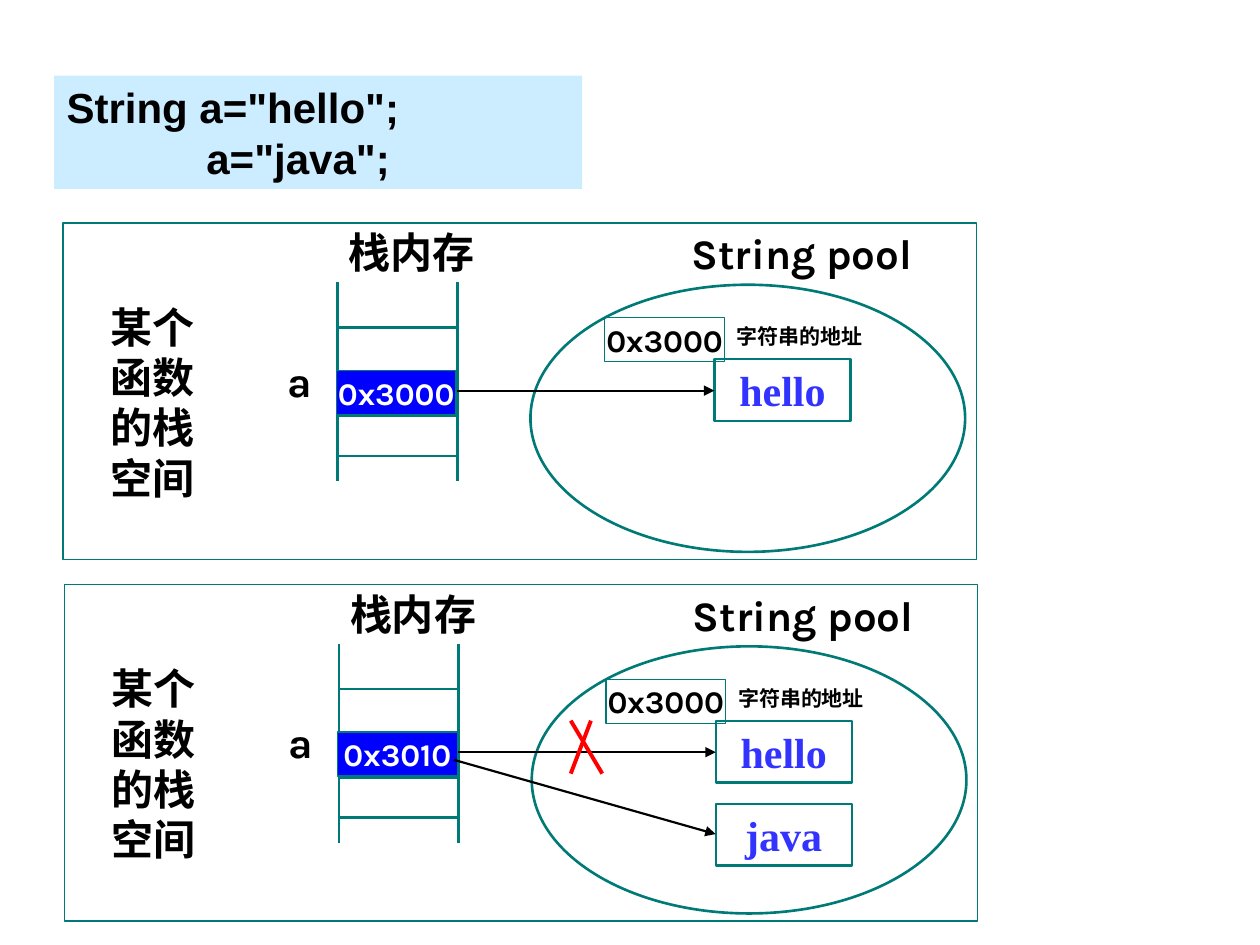
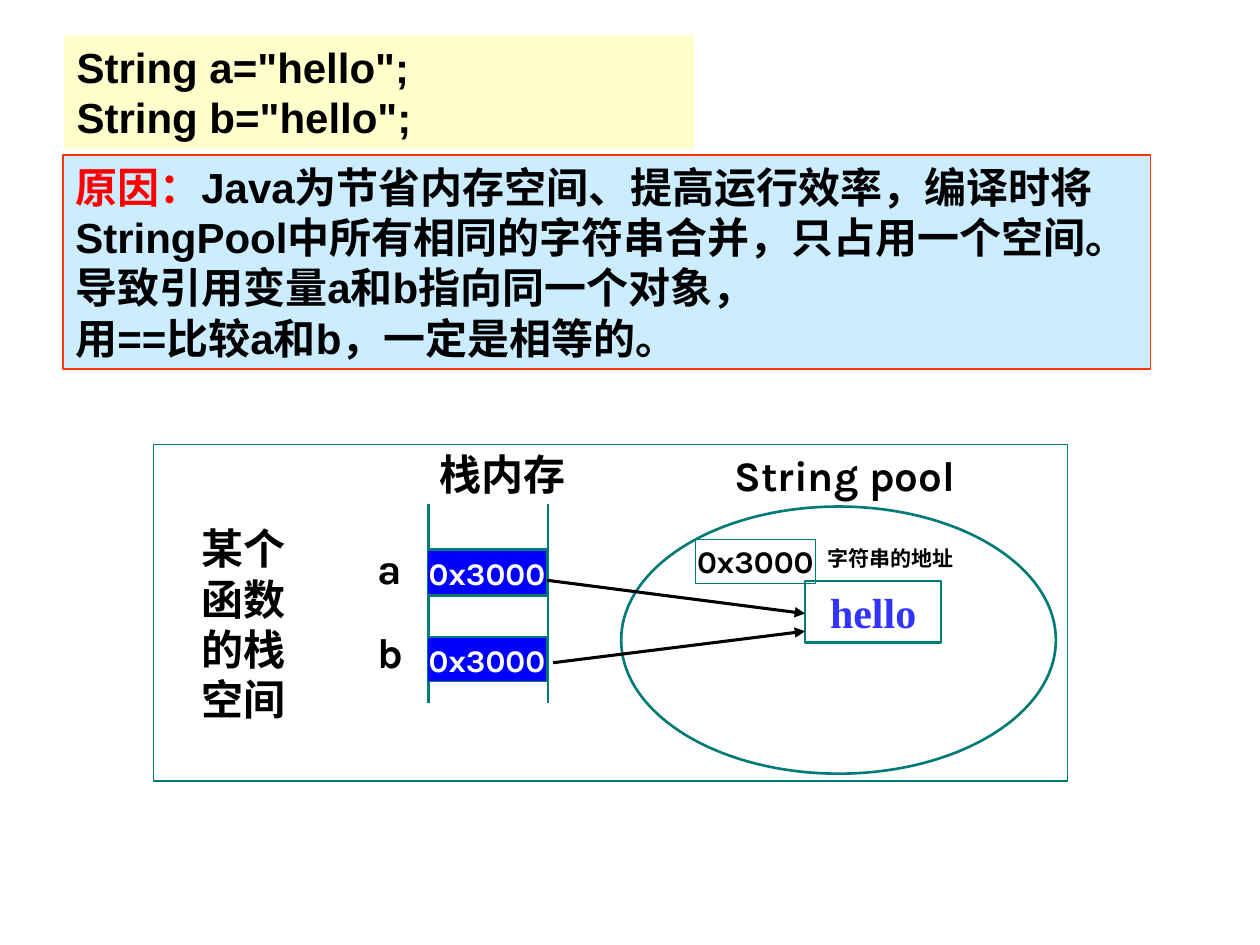
from dataclasses import dataclass

from lxml import etree
from pptx import Presentation
from pptx.dml.color import RGBColor
from pptx.enum.shapes import MSO_CONNECTOR as Connector, MSO_SHAPE as Shape
from pptx.enum.text import MSO_ANCHOR as Anchor, MSO_AUTO_SIZE as AutoSize, PP_ALIGN as Align
from pptx.oxml.ns import qn
from pptx.util import Inches, Pt


@dataclass(frozen=True)
class Theme:
    black: str = "000000"
    white: str = "FFFFFF"
    teal: str = "007A77"
    blue: str = "0000FF"
    literal: str = "3333FF"
    red: str = "FF0000"
    orange: str = "FF3300"
    sky: str = "CCECFF"
    cream: str = "FFFFCC"
    code_font: str = "Arial"
    label_font: str = "Karla"
    literal_font: str = "Times New Roman"
    large: int = 24
    medium: int = 18
    small: int = 12
    hairline: float = 0.74
    thin: float = 1.25
    regular: float = 1.5
    bold_arrow: float = 1.76
    cross: float = 2.24


THEME = Theme()


def rgb(value):
    return RGBColor.from_string(value)


def write(frame, paragraphs, font, size, color, align=Align.LEFT):
    for index, runs in enumerate(paragraphs):
        paragraph = frame.paragraphs[0] if index == 0 else frame.add_paragraph()
        paragraph.alignment = align
        for words, run_color in runs:
            run = paragraph.add_run()
            run.text = words
            run.font.name = font
            run.font.size = Pt(size)
            run.font.bold = True
            run.font.color.rgb = rgb(run_color or color)


def plain(*lines):
    return [[(line, None)] for line in lines]


def add_outline(shapes, at, kind=Shape.RECTANGLE, fill=None, line=None, width=THEME.hairline):
    outline = shapes.add_shape(kind, *map(Inches, at))
    outline.shadow.inherit = False
    if fill:
        outline.fill.solid()
        outline.fill.fore_color.rgb = rgb(fill)
    else:
        outline.fill.background()
    if line:
        outline.line.color.rgb = rgb(line)
        outline.line.width = Pt(width)
    else:
        outline.line.fill.background()
    return outline


def add_code_panel(shapes, at, paragraphs, fill, line=None, wrap=True):
    frame = add_outline(shapes, at, fill=fill, line=line).text_frame
    frame.word_wrap = wrap
    frame.auto_size = AutoSize.SHAPE_TO_FIT_TEXT
    frame.vertical_anchor = Anchor.TOP
    write(frame, paragraphs, THEME.code_font, THEME.large, THEME.black)
    return frame


def add_label(shapes, at, words, size=THEME.large, wrap=False):
    frame = shapes.add_textbox(*map(Inches, at)).text_frame
    frame.word_wrap = wrap
    frame.auto_size = AutoSize.SHAPE_TO_FIT_TEXT
    write(frame, plain(words), THEME.label_font, size, THEME.black)


def add_value(shapes, at, words, font, size, color, fill=None, width=THEME.hairline):
    frame = add_outline(shapes, at, fill=fill, line=THEME.teal, width=width).text_frame
    frame.word_wrap = False
    frame.vertical_anchor = Anchor.MIDDLE
    write(frame, plain(words), font, size, color, Align.CENTER)


def add_address(shapes, x, y, words, color, fill=None):
    add_value(shapes, (x, y, 0.95, 0.35), words, THEME.label_font, THEME.medium, color, fill)


def add_literal(shapes, x, y, words):
    add_value(shapes, (x, y, 1.08, 0.49), words, THEME.literal_font, THEME.large,
              THEME.literal, THEME.white, THEME.thin)


def add_line(shapes, start, end, color, width, arrow=False):
    line = shapes.add_connector(Connector.STRAIGHT, *map(Inches, (*start, *end)))
    line.line.color.rgb = rgb(color)
    line.line.width = Pt(width)
    if arrow:
        etree.SubElement(line.line._get_or_add_ln(), qn("a:tailEnd"), type="triangle")
    etree.SubElement(line._element.spPr, qn("a:effectLst"))


def draw_memory(slide, x, y, variables, arrows, arrow_width, pool_title_x=4.89):
    shapes = slide.shapes.add_group_shape().shapes
    add_outline(shapes, (x, y, 7.25, 2.67), fill=THEME.white, line=THEME.teal)
    for rail in (2.18, 3.13):
        add_line(shapes, (x + rail, y + 0.47), (x + rail, y + 2.05), THEME.teal, THEME.regular)
    for rung in (0.83, 1.2, 1.53, 1.85):
        add_line(shapes, (x + 2.18, y + rung), (x + 3.13, y + rung), THEME.teal, THEME.regular)
    add_label(shapes, (x + 0.28, y + 0.57, 0.93, 1.7), "某个函数的栈空间", wrap=True)
    add_outline(shapes, (x + 3.71, y + 0.49, 3.45, 2.12), Shape.OVAL,
                THEME.white, THEME.teal, THEME.regular)
    add_label(shapes, (x + 2.17, y - 0.02, 1.2, 0.5), "栈内存")
    add_label(shapes, (x + pool_title_x, y - 0.01, 2.02, 0.5), "String pool")
    add_literal(shapes, x + 5.17, y + 1.08, "hello")
    for start, end in arrows:
        add_line(shapes, (x + start[0], y + start[1]), (x + end[0], y + end[1]),
                 THEME.black, arrow_width, arrow=True)
    add_address(shapes, x + 4.3, y + 0.75, "0x3000", THEME.black)
    add_label(shapes, (x + 5.25, y + 0.75, 1.2, 0.3), "字符串的地址", THEME.small)
    for name, address, label_y, cell_y in variables:
        add_label(shapes, (x + 1.68, y + label_y, 0.4, 0.5), name)
        add_address(shapes, x + 2.17, y + cell_y, address, THEME.white, THEME.blue)


def build_reassignment(slide):
    code = add_code_panel(slide.shapes, (0.43, 0.6, 4.19, 0.9),
                          plain('String a="hello";', 'a="java";'), THEME.sky)
    code.paragraphs[1]._p.get_or_add_pPr().set("marL", str(Inches(1.11)))

    to_hello = ((3.08, 1.33), (5.17, 1.33))
    for x, y, address in ((0.5, 1.77, "0x3000"), (0.51, 4.64, "0x3010")):
        draw_memory(slide, x, y, [("a", address, 1.0, 1.17)], [to_hello], THEME.thin)

    add_literal(slide.shapes, 5.68, 6.38, "java")
    add_line(slide.shapes, (3.6, 6.03), (5.68, 6.62), THEME.black, THEME.thin, arrow=True)
    for start, end in (((4.53, 5.72), (4.78, 6.14)), ((4.53, 6.14), (4.69, 5.72))):
        add_line(slide.shapes, start, end, THEME.red, THEME.cross)


def build_shared_literal(slide):
    reason = [
        [("原因：", THEME.red), ("Java为节省内存空间、提高运行效率，编译时将", None)],
        *plain("StringPool中所有相同的字符串合并，只占用一个空间。",
               "导致引用变量a和b指向同一个对象，",
               "用==比较a和b，一定是相等的。"),
    ]
    add_code_panel(slide.shapes, (0.5, 1.23, 8.63, 1.7), reason,
                   THEME.sky, THEME.orange, wrap=False)
    draw_memory(slide, 1.22, 3.53,
                [("a", "0x3000", 0.73, 0.84), ("b", "0x3000", 1.39, 1.53)],
                [((3.08, 1.07), (5.17, 1.34)), ((3.17, 1.73), (5.17, 1.48))],
                THEME.bold_arrow, pool_title_x=4.51)
    add_code_panel(slide.shapes, (0.51, 0.28, 5, 0.9),
                   plain('String a="hello";', 'String b="hello";'), THEME.cream)


def main():
    deck = Presentation()
    deck.slide_width, deck.slide_height = Inches(10), Inches(7.5)
    for build in (build_reassignment, build_shared_literal):
        build(deck.slides.add_slide(deck.slide_layouts[6]))
    deck.save("out.pptx")


main()
